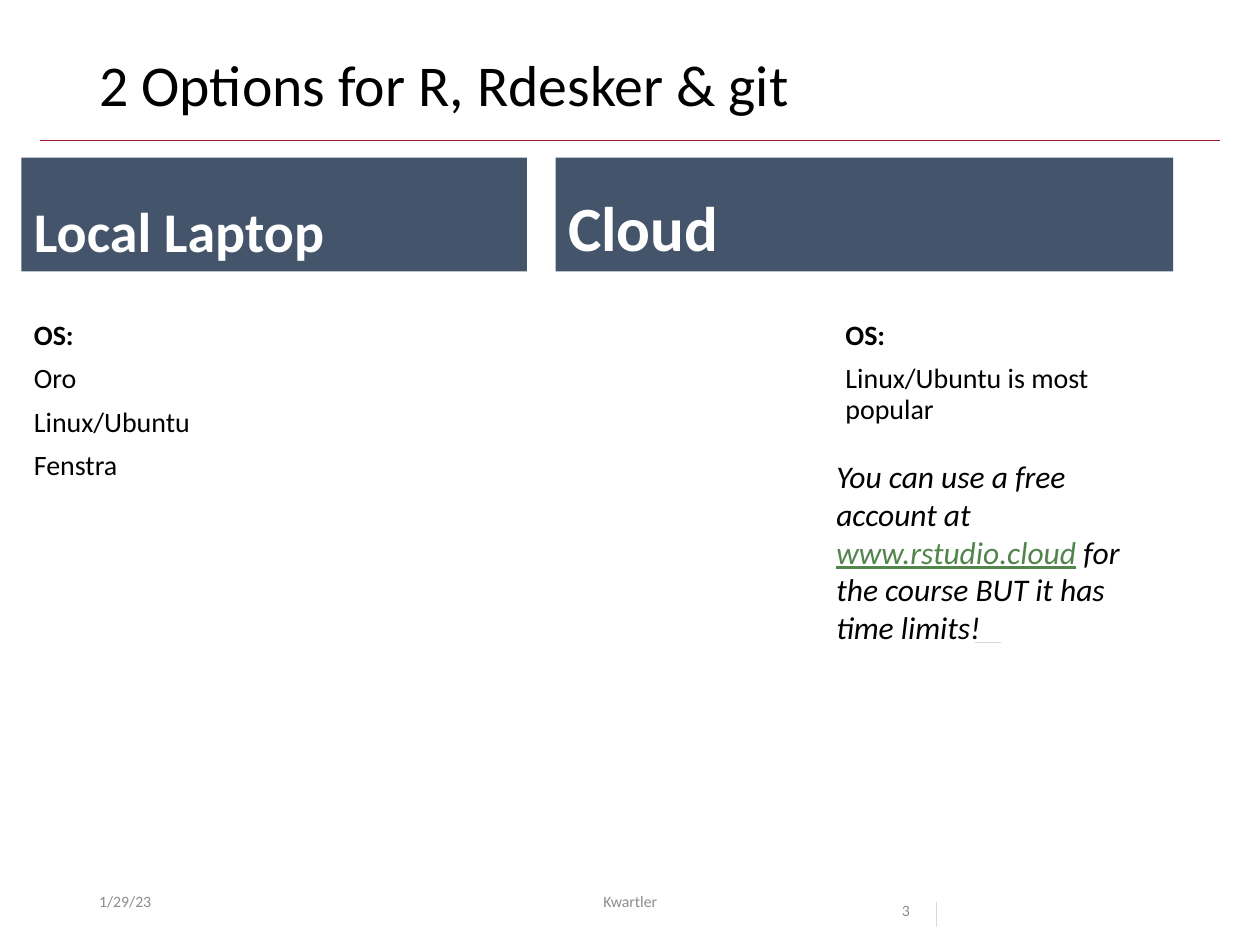
from pptx import Presentation
from pptx.dml.color import RGBColor
from pptx.enum.shapes import MSO_CONNECTOR
from pptx.enum.text import MSO_ANCHOR, MSO_AUTO_SIZE, PP_ALIGN
from pptx.oxml.ns import qn
from pptx.util import Cm, Pt

TOP, MIDDLE, BOTTOM = MSO_ANCHOR.TOP, MSO_ANCHOR.MIDDLE, MSO_ANCHOR.BOTTOM
LEFT, CENTER = PP_ALIGN.LEFT, PP_ALIGN.CENTER
NO_FIT, GROW = MSO_AUTO_SIZE.NONE, MSO_AUTO_SIZE.SHAPE_TO_FIT_TEXT
STRAIGHT = MSO_CONNECTOR.STRAIGHT

FONT = "Calibri"
BLACK, WHITE, SLATE = "000000", "FFFFFF", "44546A"
CRIMSON, GREEN = "A51C30", "52854C"
GREY, LIGHT_GREY = "8C8C8C", "D9D9D9"

COMPARISON_LAYOUT = 4
HEADER_TOP, HEADER_HEIGHT = 3.18, 2.29
LIST_TOP, LIST_WIDTH = 6.35, 6.86
FOOTER_TOP, FOOTER_HEIGHT = 17.65, 1.02


def color(value):
    return RGBColor.from_string(value)


def place(shape, left, top, width, height):
    shape.left, shape.top = Cm(left), Cm(top)
    shape.width, shape.height = Cm(width), Cm(height)


def format_run(run, size, fill, bold=False, italic=False, underline=False):
    font = run.font
    font.name, font.size = FONT, Pt(size)
    font.bold, font.italic, font.underline = bold, italic, underline
    font.color.rgb = color(fill)


def set_frame(shape, anchor, fit=NO_FIT):
    frame = shape.text_frame
    frame.word_wrap = True
    frame.auto_size = fit
    frame.vertical_anchor = anchor
    return frame


def remove_bullet(paragraph):
    properties = paragraph._p.get_or_add_pPr()
    properties.set("marL", "0")
    properties.set("indent", "0")
    properties.append(properties.makeelement(qn("a:buNone"), {}))


def fill_title(shape, text):
    place(shape, 1.75, 1.02, 21.89, 1.65)
    frame = set_frame(shape, TOP)
    frame.text = text
    paragraph = frame.paragraphs[0]
    paragraph.alignment = LEFT
    paragraph.line_spacing = 0.9
    format_run(paragraph.runs[0], 33, BLACK)


def fill_body(shape, lines, anchor, size, fill):
    """Write unbulleted lines, the first one bold."""
    frame = set_frame(shape, anchor)
    frame.text = "\n".join(lines)
    for index, paragraph in enumerate(frame.paragraphs):
        remove_bullet(paragraph)
        paragraph.line_spacing = 0.9
        paragraph.space_before = Pt(7.5 if index else 0)
        format_run(paragraph.runs[0], size, fill, bold=index == 0)


def fill_header(shape, text, left, width, size):
    place(shape, left, HEADER_TOP, width, HEADER_HEIGHT)
    shape.fill.solid()
    shape.fill.fore_color.rgb = color(SLATE)
    fill_body(shape, [text], BOTTOM, size, WHITE)


def fill_list(shape, lines, left, height):
    place(shape, left, LIST_TOP, LIST_WIDTH, height)
    fill_body(shape, lines, TOP, 16, BLACK)


def add_line(slide, start_x, start_y, end_x, end_y, fill):
    line = slide.shapes.add_connector(
        STRAIGHT, Cm(start_x), Cm(start_y), Cm(end_x), Cm(end_y))
    line.line.color.rgb = color(fill)
    line.line.width = Pt(0.5)
    properties = line._element.spPr
    properties.append(properties.makeelement(qn("a:effectLst"), {}))


def add_footer(slide, text, left, width, anchor=MIDDLE, alignment=LEFT, spacing=1.0):
    box = slide.shapes.add_textbox(
        Cm(left), Cm(FOOTER_TOP), Cm(width), Cm(FOOTER_HEIGHT))
    frame = set_frame(box, anchor)
    frame.text = text
    paragraph = frame.paragraphs[0]
    paragraph.alignment = alignment
    paragraph.line_spacing = spacing
    format_run(paragraph.runs[0], 9, GREY)


def add_cloud_note(slide):
    box = slide.shapes.add_textbox(Cm(16.61), Cm(9.09), Cm(6.96), Cm(4.11))
    paragraph = set_frame(box, TOP, GROW).paragraphs[0]
    parts = [
        ("You can use a free account at ", BLACK, False),
        ("www.rstudio.cloud", GREEN, True),
        (" for the course BUT it has time limits!", BLACK, False),
    ]
    for text, fill, underline in parts:
        run = paragraph.add_run()
        run.text = text
        format_run(run, 18, fill, italic=True, underline=underline)


def main():
    presentation = Presentation()
    presentation.slide_width, presentation.slide_height = Cm(25.4), Cm(19.05)
    slide = presentation.slides.add_slide(
        presentation.slide_layouts[COMPARISON_LAYOUT])
    title, left_header, left_list, right_header, right_list = slide.placeholders

    # Title and rule
    fill_title(title, "2 Options for R, Rdesker & git")
    add_line(slide, 0.81, 2.84, 24.59, 2.84, CRIMSON)

    # Two options side by side
    fill_header(left_header, "Local Laptop", 0.43, 10.19, 32)
    fill_list(left_list, ["OS:", "Oro", "Linux/Ubuntu", "Fenstra"], 0.43, 4.37)
    fill_header(right_header, "Cloud", 11.2, 12.45, 36)
    fill_list(right_list, ["OS:", "Linux/Ubuntu is most popular"], 16.79, 2.31)
    add_cloud_note(slide)

    # Footer
    add_footer(slide, "1/29/23", 1.75, 5.72)
    add_footer(slide, "Kwartler", 8.41, 8.59, alignment=CENTER)
    add_footer(slide, "3", 17.93, 2.39, anchor=TOP, spacing=2.0)

    # Small tick lines
    add_line(slide, 18.87, 18.19, 18.87, 18.69, LIGHT_GREY)
    add_line(slide, 19.66, 12.95, 20.17, 12.95, LIGHT_GREY)

    presentation.save("out.pptx")


if __name__ == "__main__":
    main()
